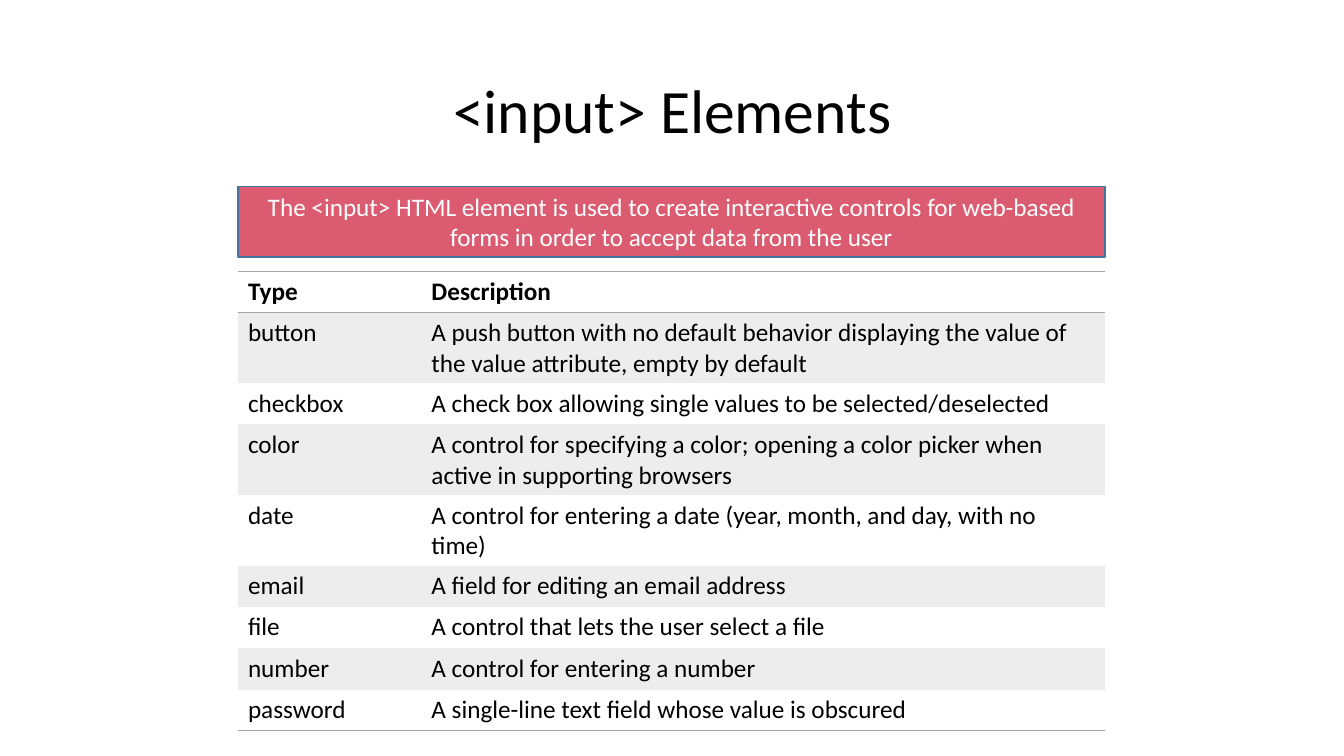
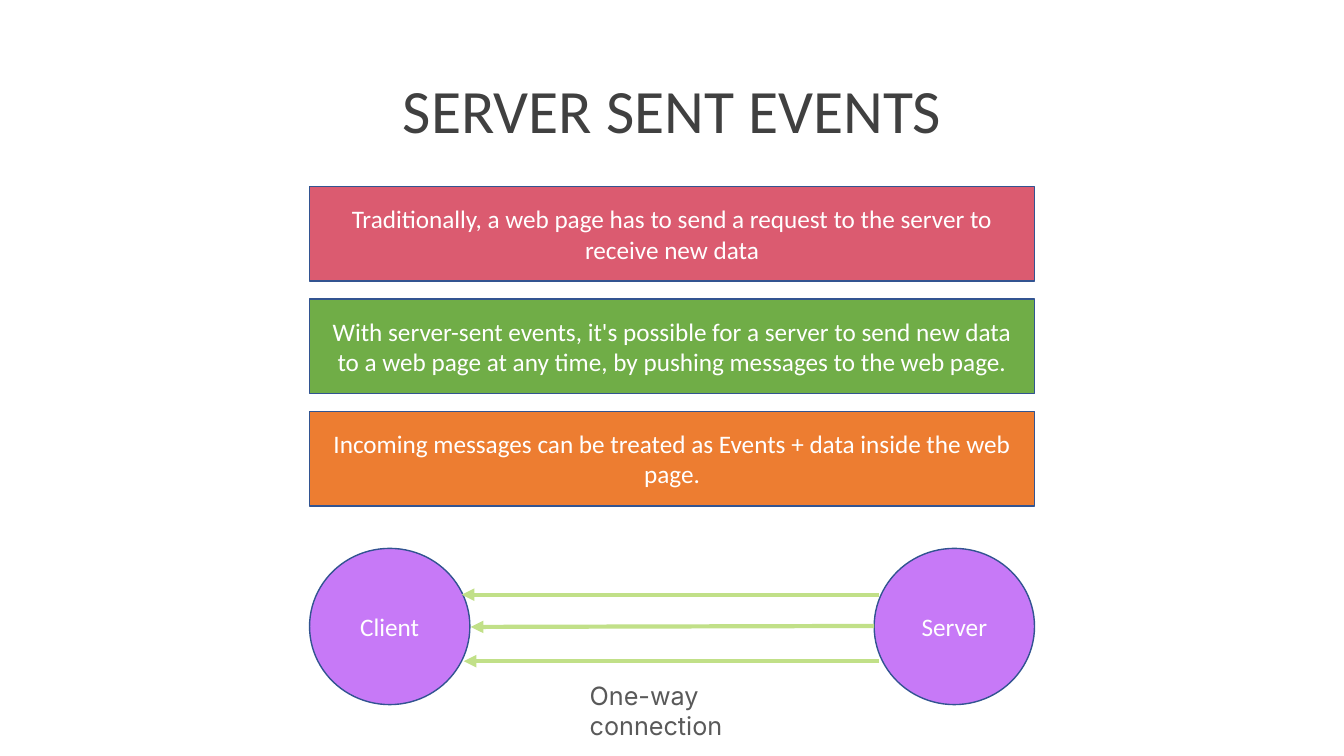
from pptx import Presentation
from pptx import util as u
from pptx.dml.color import RGBColor
from pptx.enum import shapes, text
from pptx.oxml import parse_xml
from pptx.oxml.ns import nsdecls

# Shared style: lengths are px, 100 to the inch
PX = 9144
FONT, BODY_SIZE, TITLE_SIZE = "Calibri", 18, 44
BLACK, WHITE, DARK, GREY = "000000", "FFFFFF", "404040", "595959"
RED, GREEN, ORANGE, PURPLE = "DB5B70", "70AD47", "ED7D31", "C779F7"
BLUE, STEEL, LIME = "325491", "43739E", "C1E088"
RULE, BAND = "A5A5A5", "EDEDED"
TITLE_AREA = (92, 40, 1150, 145)
BODY_TOP = 185

# Content: input elements
INPUT_INTRO = ("The <input> HTML element is used to create interactive controls "
               "for web-based forms in order to accept data from the user")
INPUT_TYPES = [
    ("Type", "Description"),
    ("button", "A push button with no default behavior displaying the value of "
               "the value attribute, empty by default"),
    ("checkbox", "A check box allowing single values to be selected/deselected"),
    ("color", "A control for specifying a color; opening a color picker when "
              "active in supporting browsers"),
    ("date", "A control for entering a date (year, month, and day, with no time)"),
    ("email", "A field for editing an email address"),
    ("file", "A control that lets the user select a file"),
    ("number", "A control for entering a number"),
    ("password", "A single-line text field whose value is obscured"),
]
COLUMN_WIDTHS = (182, 678)
TABLE_LEFT, TABLE_TOP, ROW_HEIGHT = 236, 269, 41

# Content: server sent events
STATEMENTS = [
    ("Traditionally, a web page has to send a request to the server to "
     "receive new data", RED),
    ("With server-sent events, it's possible for a server to send new data to "
     "a web page at any time, by pushing messages to the web page.", GREEN),
    ("Incoming messages can be treated as Events + data inside the web page.",
     ORANGE),
]
EVENTS_LEFT, EVENTS_WIDTH = 307, 719
BAR_HEIGHT, BAR_STEP = 94, 111.5
PEERS = ("Client", "Server")
PEER_TOP, PEER_WIDTH, PEER_HEIGHT = 544, 159, 155
MESSAGES = [((872, 590), (458, 590)),
            ((867, 621), (467, 622)),
            ((872, 656), (460, 656))]


def px(*lengths):
    return [u.Emu(round(length * PX)) for length in lengths]


def color(value):
    return RGBColor.from_string(value)


def write(frame, words, size=BODY_SIZE, ink=WHITE, font=FONT, bold=False,
          align=text.PP_ALIGN.CENTER, spacing=None):
    para = frame.paragraphs[0]
    para.alignment = align
    if spacing:
        para.line_spacing = spacing
    span = para.add_run()
    span.text = words
    span.font.name, span.font.size, span.font.bold = font, u.Pt(size), bold
    span.font.color.rgb = color(ink)


def add_text(page, area, words, anchor=text.MSO_ANCHOR.TOP, **style):
    frame = page.shapes.add_textbox(*px(*area)).text_frame
    frame.word_wrap = True
    frame.vertical_anchor = anchor
    write(frame, words, **style)


def add_page(deck, title, ink):
    page = deck.slides.add_slide(deck.slide_layouts[6])
    add_text(page, TITLE_AREA, title, anchor=text.MSO_ANCHOR.MIDDLE,
             size=TITLE_SIZE, ink=ink, spacing=0.9)
    return page


def add_panel(page, area, words, fill, outline=BLUE,
              kind=shapes.MSO_SHAPE.RECTANGLE):
    panel = page.shapes.add_shape(kind, *px(*area))
    panel.shadow.inherit = False
    panel.fill.solid()
    panel.fill.fore_color.rgb = color(fill)
    panel.line.color.rgb = color(outline)
    panel.line.width = u.Pt(1)
    panel.text_frame.word_wrap = True
    panel.text_frame.vertical_anchor = text.MSO_ANCHOR.MIDDLE
    write(panel.text_frame, words)


def add_arrow(page, start, end):
    arrow = page.shapes.add_connector(shapes.MSO_CONNECTOR.STRAIGHT,
                                      *px(*start, *end))
    arrow.line.color.rgb = color(LIME)
    arrow.line.width = u.Pt(3)
    arrow.line._get_or_add_ln().append(
        parse_xml(f'<a:tailEnd {nsdecls("a")} type="triangle"/>'))
    arrow._element.spPr.append(parse_xml(f'<a:effectLst {nsdecls("a")}/>'))


def set_borders(cell, above, below):
    sides = (("lnL", False), ("lnR", False), ("lnT", above), ("lnB", below))
    for place, (side, ruled) in enumerate(sides):
        paint = (f'<a:solidFill><a:srgbClr val="{RULE}"/></a:solidFill>'
                 if ruled else "<a:noFill/>")
        cell._tc.get_or_add_tcPr().insert(place, parse_xml(
            f'<a:{side} {nsdecls("a")} w="{u.Pt(1)}">{paint}</a:{side}>'))


def add_type_table(page):
    last = len(INPUT_TYPES) - 1
    area = (TABLE_LEFT, TABLE_TOP, sum(COLUMN_WIDTHS),
            ROW_HEIGHT * len(INPUT_TYPES))
    table = page.shapes.add_table(len(INPUT_TYPES), len(COLUMN_WIDTHS),
                                  *px(*area)).table
    table.first_row = table.horz_banding = False
    for column, width in zip(table.columns, px(*COLUMN_WIDTHS)):
        column.width = width
    for row, entries in enumerate(INPUT_TYPES):
        for cell, words in zip(table.rows[row].cells, entries):
            if row % 2:
                cell.fill.solid()
                cell.fill.fore_color.rgb = color(BAND)
            else:
                cell.fill.background()
            set_borders(cell, above=row in (0, 1), below=row in (0, last))
            write(cell.text_frame, words, ink=BLACK, bold=row == 0,
                  align=text.PP_ALIGN.LEFT)


def build_input_page(deck):
    page = add_page(deck, "<input> Elements", BLACK)
    add_panel(page, (TABLE_LEFT, BODY_TOP, sum(COLUMN_WIDTHS), 70),
              INPUT_INTRO, RED, outline=STEEL)
    add_type_table(page)


def build_events_page(deck):
    page = add_page(deck, "SERVER SENT EVENTS", DARK)
    # Stacked statements
    for place, (words, fill) in enumerate(STATEMENTS):
        top = BODY_TOP + place * BAR_STEP
        add_panel(page, (EVENTS_LEFT, top, EVENTS_WIDTH, BAR_HEIGHT), words, fill)
    # Client and server at the two ends of the column
    for place, words in enumerate(PEERS):
        left = EVENTS_LEFT + place * (EVENTS_WIDTH - PEER_WIDTH)
        add_panel(page, (left, PEER_TOP, PEER_WIDTH, PEER_HEIGHT), words, PURPLE,
                  kind=shapes.MSO_SHAPE.OVAL)
    # Messages from server to client
    for start, end in MESSAGES:
        add_arrow(page, start, end)
    add_text(page, (575, 670, 232, 40), "One-way connection", ink=GREY,
             font="Inter", align=text.PP_ALIGN.LEFT)


def main():
    deck = Presentation()
    deck.slide_width, deck.slide_height = px(1333, 750)
    build_input_page(deck)
    build_events_page(deck)
    deck.save("out.pptx")


if __name__ == "__main__":
    main()
